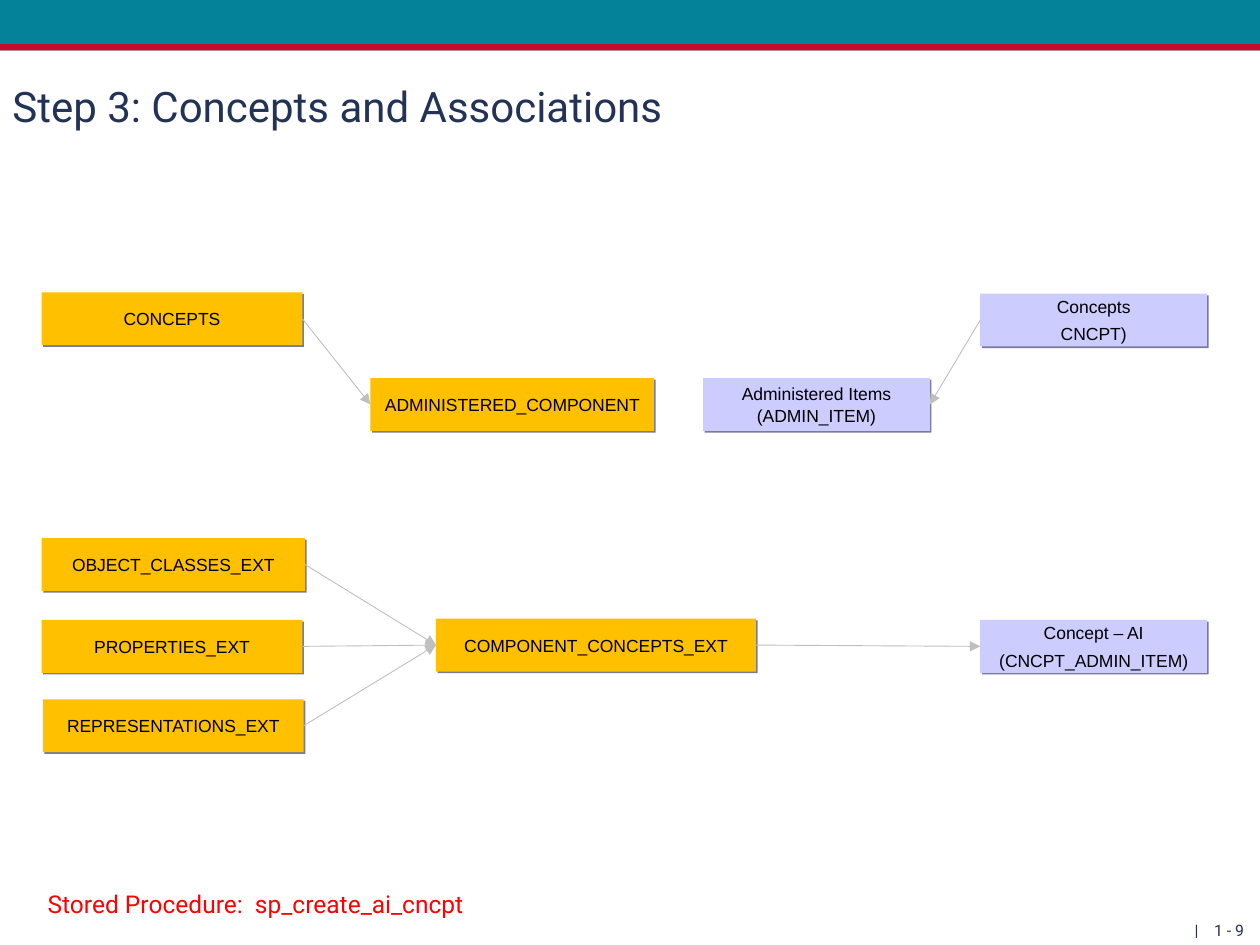
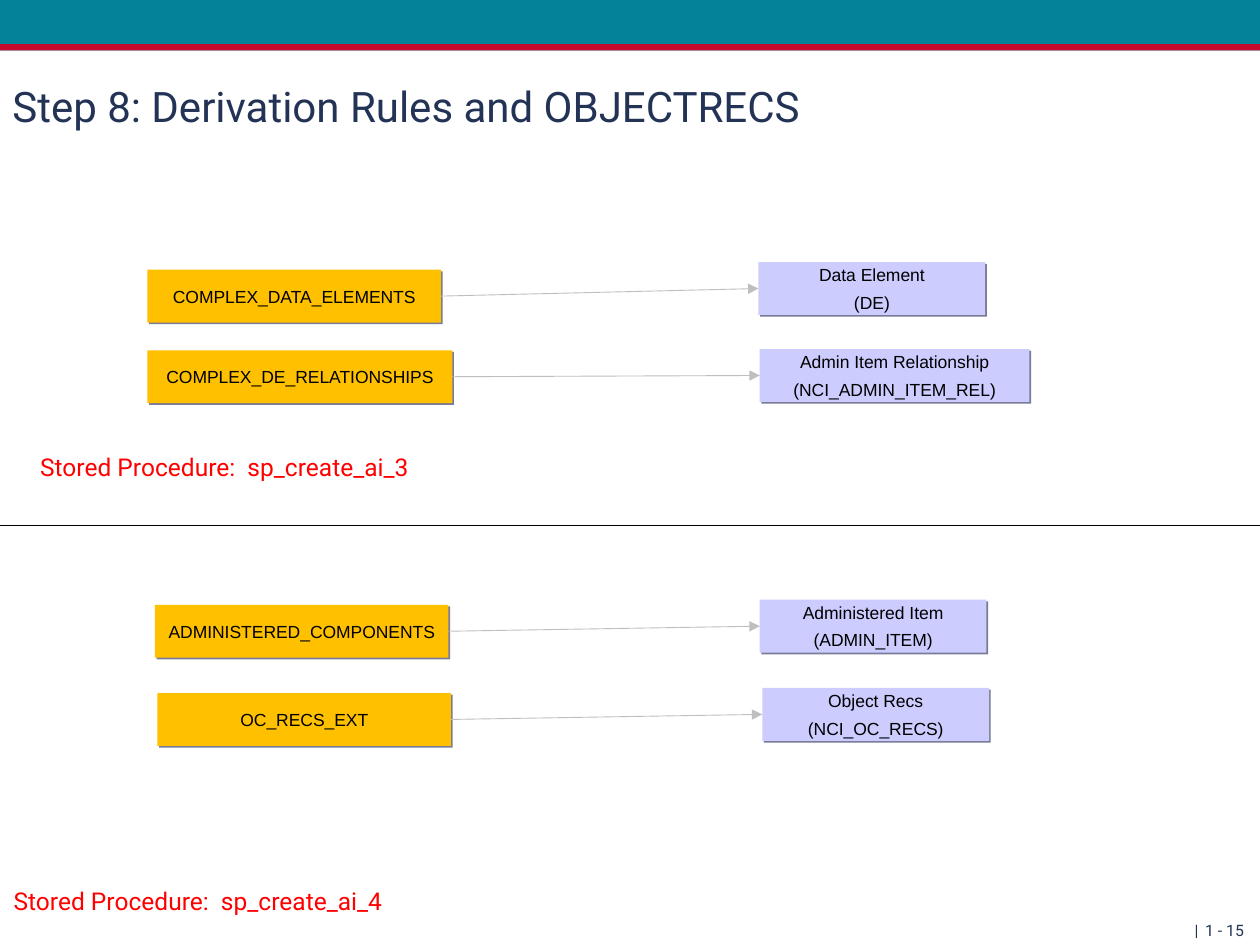
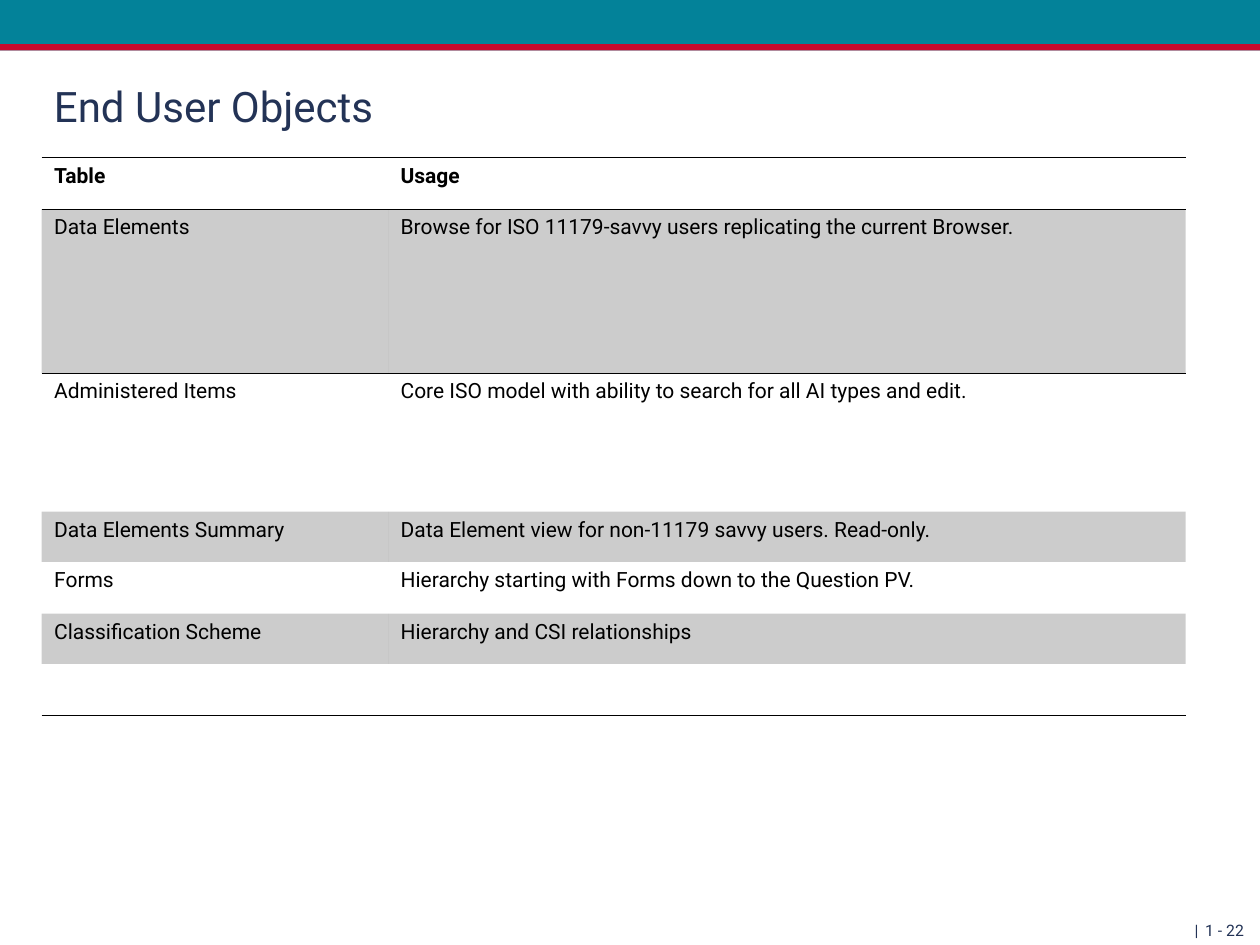
from dataclasses import dataclass

import lxml.etree
import pptx
import pptx.dml.color
import pptx.enum.shapes
import pptx.enum.text
import pptx.oxml.ns
import pptx.presentation
import pptx.shapes.autoshape
import pptx.shapes.connector
import pptx.slide
import pptx.table
import pptx.text.text
import pptx.util

Inches = pptx.util.Inches
Pt = pptx.util.Pt
qn = pptx.oxml.ns.qn
Align = pptx.enum.text.PP_ALIGN
Anchor = pptx.enum.text.MSO_ANCHOR
Preset = pptx.enum.shapes.MSO_SHAPE


@dataclass(frozen=True)
class Theme:
    teal: str = "038299"
    red: str = "C6092D"
    navy: str = "233356"
    black: str = "000000"
    source: str = "FFC000"
    target: str = "CCCCFF"
    shadow: str = "7A7A99"
    arrow: str = "BFBFBF"
    procedure: str = "FF0000"
    font: str = "Roboto"
    box_font: str = "Arial"
    title_size: float = 24
    procedure_size: float = 14
    table_size: float = 12
    box_size: float = 10
    footer_size: float = 9
    paragraph_gap: float = 3.7
    arrow_width: float = 0.5
    divider_width: float = 0.75
    rule_width: float = 0.45
    stripe_alpha: int = 20
    no_grid_style: str = "{2D5ABB26-0587-4C30-8999-92F81FD0307C}"


THEME = Theme()


@dataclass(frozen=True)
class Entity:
    text: str
    left: float
    top: float
    width: float
    fill: str = THEME.source
    height: float = 0.42


@dataclass(frozen=True)
class Procedure:
    name: str
    left: float
    top: float
    width: float = 3.28


def target(text: str, left: float, top: float, width: float = 1.8) -> Entity:
    return Entity(text, left, top, width, THEME.target)


def rgb(color: str) -> pptx.dml.color.RGBColor:
    return pptx.dml.color.RGBColor.from_string(color)


def write(frame: pptx.text.text.TextFrame, text: str, *, size: float,
          color: str = THEME.black, font: str = THEME.font, bold: bool = False,
          align: Align = Align.LEFT, line_spacing: float = 1.0,
          gap: float = 0) -> None:
    frame.word_wrap = True
    for index, line in enumerate(text.split("\n")):
        paragraph = frame.add_paragraph() if index else frame.paragraphs[0]
        paragraph.alignment = align
        paragraph.line_spacing = line_spacing
        if index:
            paragraph.space_before = Pt(gap)
        run = paragraph.add_run()
        run.text = line
        run.font.size = Pt(size)
        run.font.name = font
        run.font.bold = bold
        run.font.color.rgb = rgb(color)


def add_text(slide: pptx.slide.Slide, text: str, left: float, top: float,
             width: float, height: float, *, anchor: Anchor = Anchor.TOP,
             **style) -> None:
    box = slide.shapes.add_textbox(
        Inches(left), Inches(top), Inches(width), Inches(height))
    box.text_frame.vertical_anchor = anchor
    write(box.text_frame, text, **style)


def add_rect(slide: pptx.slide.Slide, left: float, top: float, width: float,
             height: float, fill: str) -> pptx.shapes.autoshape.Shape:
    rect = slide.shapes.add_shape(
        Preset.RECTANGLE, Inches(left), Inches(top), Inches(width), Inches(height))
    rect.fill.solid()
    rect.fill.fore_color.rgb = rgb(fill)
    rect.line.fill.background()
    rect.shadow.inherit = False
    return rect


def add_entity(slide: pptx.slide.Slide, entity: Entity) -> pptx.shapes.autoshape.Shape:
    rect = add_rect(slide, entity.left, entity.top, entity.width, entity.height, entity.fill)
    effects = rect.element.spPr.find(qn("a:effectLst"))
    shadow = lxml.etree.SubElement(
        effects, qn("a:outerShdw"), dist=str(Pt(1.4)), dir="2700000",
        algn="ctr", rotWithShape="0")
    lxml.etree.SubElement(shadow, qn("a:srgbClr"), val=THEME.shadow)
    rect.text_frame.vertical_anchor = Anchor.MIDDLE
    write(rect.text_frame, entity.text, size=THEME.box_size, font=THEME.box_font,
          align=Align.CENTER, gap=THEME.paragraph_gap)
    return rect


def add_line(slide: pptx.slide.Slide, start: tuple[float, float],
             end: tuple[float, float], color: str, width: float,
             arrow: bool = False) -> pptx.shapes.connector.Connector:
    line = slide.shapes.add_connector(
        pptx.enum.shapes.MSO_CONNECTOR.STRAIGHT, *map(Inches, start + end))
    line.line.color.rgb = rgb(color)
    line.line.width = Pt(width)
    properties = line.element.spPr
    if arrow:
        lxml.etree.SubElement(properties.find(qn("a:ln")), qn("a:tailEnd"), type="triangle")
    lxml.etree.SubElement(properties, qn("a:effectLst"))
    return line


def add_flow(slide: pptx.slide.Slide, links: list[tuple[Entity, Entity]]) -> None:
    left_site, right_site = 1, 3
    entities = dict.fromkeys(entity for link in links for entity in link)
    drawn = {entity: add_entity(slide, entity) for entity in entities}
    for origin, goal in links:
        forward = origin.left < goal.left
        arrow = add_line(slide, (origin.left, origin.top), (goal.left, goal.top),
                         THEME.arrow, THEME.arrow_width, arrow=True)
        arrow.begin_connect(drawn[origin], right_site if forward else left_site)
        arrow.end_connect(drawn[goal], left_site if forward else right_site)


def add_procedure(slide: pptx.slide.Slide, procedure: Procedure) -> None:
    add_text(slide, f"Stored Procedure:  {procedure.name}", procedure.left,
             procedure.top, procedure.width, 0.34,
             size=THEME.procedure_size, color=THEME.procedure)


def add_slide(deck: pptx.presentation.Presentation, title: str, page: int,
              title_left: float = 0) -> pptx.slide.Slide:
    slide = deck.slides.add_slide(deck.slide_layouts[6])
    add_rect(slide, 0, 0, 10, 0.4, THEME.teal)
    add_rect(slide, 0, 0.35, 10, 0.05, THEME.red)
    for text, left, width in ((f"1 - {page}", 3.52, 6.45), ("|", 7.65, 1.96)):
        add_text(slide, text, left, 7.23, width, 0.27, size=THEME.footer_size,
                 color=THEME.navy, align=Align.RIGHT, line_spacing=1.2)
    add_text(slide, title, title_left, 0.49, 9, 0.69, anchor=Anchor.MIDDLE,
             size=THEME.title_size, color=THEME.navy)
    return slide


def add_rule(cell: pptx.table._Cell, edge: str) -> None:
    rule = lxml.etree.Element(qn(f"a:{edge}"), w=str(Pt(THEME.rule_width)))
    fill = lxml.etree.SubElement(rule, qn("a:solidFill"))
    lxml.etree.SubElement(fill, qn("a:srgbClr"), val=THEME.black)
    cell._tc.get_or_add_tcPr().insert(0, rule)


def stripe(cell: pptx.table._Cell) -> None:
    cell.fill.solid()
    cell.fill.fore_color.rgb = rgb(THEME.black)
    color = cell._tc.tcPr.find(qn("a:solidFill")).find(qn("a:srgbClr"))
    lxml.etree.SubElement(color, qn("a:alpha"), val=str(THEME.stripe_alpha * 1000))


def add_usage_table(slide: pptx.slide.Slide, rows: list[tuple[str, str]],
                    widths: list[float], heights: list[float]) -> None:
    table = slide.shapes.add_table(
        len(rows), len(widths), Inches(0.33), Inches(1.25),
        Inches(sum(widths)), Inches(sum(heights))).table
    table.first_row = table.horz_banding = False
    table._tbl.tblPr.find(qn("a:tableStyleId")).text = THEME.no_grid_style
    for column, width in zip(table.columns, widths):
        column.width = Inches(width)
    for index, (row, height, texts) in enumerate(zip(table.rows, heights, rows)):
        row.height = Inches(height)
        for cell, text in zip(row.cells, texts):
            if index % 2:
                stripe(cell)
            else:
                cell.fill.background()
            if index in (0, len(rows) - 1):
                add_rule(cell, "lnB")
            if index in (0, 1):
                add_rule(cell, "lnT")
            if text:
                write(cell.text_frame, text, size=THEME.table_size, bold=index == 0)


def build_concepts(deck: pptx.presentation.Presentation) -> None:
    slide = add_slide(deck, "Step 3: Concepts and Associations", 9)
    concepts = Entity("CONCEPTS", 0.33, 2.32, 2.07)
    component = Entity("ADMINISTERED_COMPONENT", 2.94, 3, 2.25)
    object_classes = Entity("OBJECT_CLASSES_EXT", 0.33, 4.27, 2.09)
    properties = Entity("PROPERTIES_EXT", 0.33, 4.92, 2.07)
    representations = Entity("REPRESENTATIONS_EXT", 0.34, 5.55, 2.07)
    component_concepts = Entity("COMPONENT_CONCEPTS_EXT", 3.46, 4.91, 2.54)
    admin_items = target("Administered Items (ADMIN_ITEM)", 5.58, 3)
    target_concepts = target("Concepts\nCNCPT)", 7.78, 2.33)
    concept_ai = target("Concept – AI\n(CNCPT_ADMIN_ITEM)", 7.78, 4.92)
    add_flow(slide, [
        (concepts, component),
        (target_concepts, admin_items),
        (object_classes, component_concepts),
        (properties, component_concepts),
        (representations, component_concepts),
        (component_concepts, concept_ai),
    ])
    add_procedure(slide, Procedure("sp_create_ai_cncpt", 0.28, 7.01, 3.66))


def build_derivations(deck: pptx.presentation.Presentation) -> None:
    slide = add_slide(deck, "Step 8: Derivation Rules and OBJECTRECS", 15)
    add_flow(slide, [
        (Entity("COMPLEX_DATA_ELEMENTS", 1.17, 2.14, 2.33),
         target("Data Element\n(DE)", 6.02, 2.08)),
        (Entity("COMPLEX_DE_RELATIONSHIPS", 1.17, 2.78, 2.42),
         target("Admin Item Relationship\n(NCI_ADMIN_ITEM_REL)", 6.03, 2.77, 2.14)),
        (Entity("ADMINISTERED_COMPONENTS", 1.23, 4.8, 2.33),
         target("Administered Item\n(ADMIN_ITEM)", 6.03, 4.76)),
        (Entity("OC_RECS_EXT", 1.25, 5.5, 2.33),
         target("Object Recs\n(NCI_OC_RECS)", 6.05, 5.46)),
    ])
    add_line(slide, (0, 4.17), (10, 4.17), THEME.black, THEME.divider_width)
    add_procedure(slide, Procedure("sp_create_ai_3", 0.22, 3.54))
    add_procedure(slide, Procedure("sp_create_ai_4", 0.01, 6.98))


def build_end_user_objects(deck: pptx.presentation.Presentation) -> None:
    slide = add_slide(deck, "End User Objects", 22, title_left=0.33)
    add_usage_table(slide, [
        ("Table", "Usage"),
        ("Data Elements", "Browse for ISO 11179-savvy users replicating the current Browser."),
        ("Administered Items", "Core ISO model with ability to search for all AI types and edit."),
        ("Data Elements Summary", "Data Element view for non-11179 savvy users. Read-only."),
        ("Forms", "Hierarchy starting with Forms down to the Question PV."),
        ("Classification Scheme", "Hierarchy and CSI relationships"),
        ("", ""),
    ], widths=[2.75, 6.33], heights=[0.41, 1.3, 1.1, 0.4, 0.41, 0.4, 0.41])


def main() -> None:
    deck = pptx.Presentation()
    deck.slide_width = Inches(10)
    deck.slide_height = Inches(7.5)
    build_concepts(deck)
    build_derivations(deck)
    build_end_user_objects(deck)
    deck.save("out.pptx")


if __name__ == "__main__":
    main()
